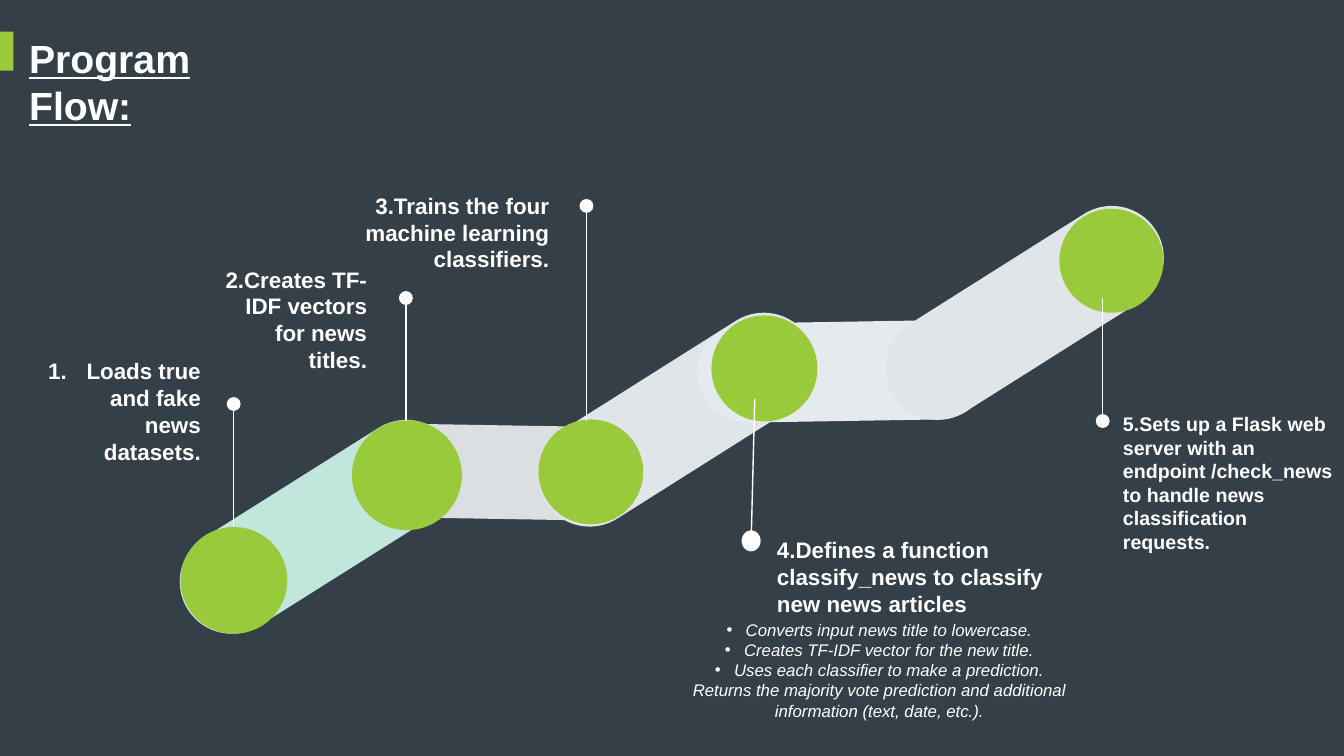
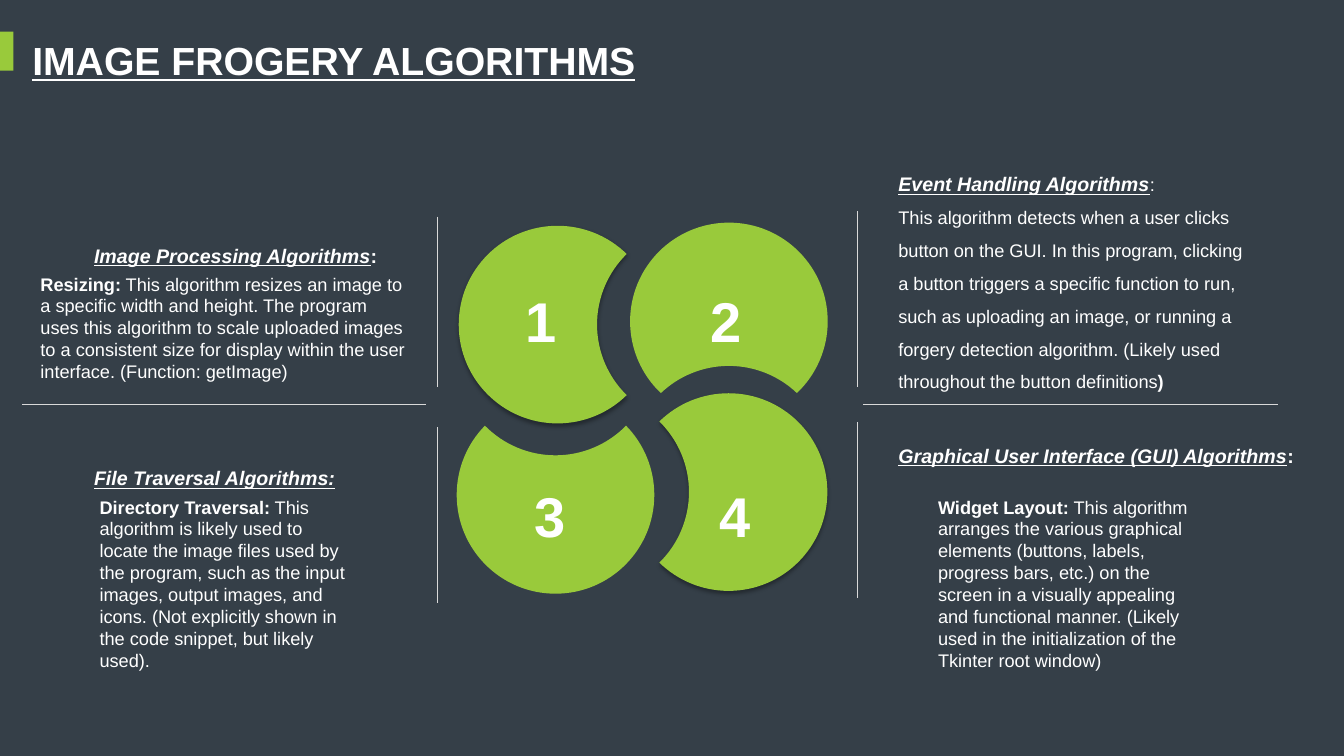
import math

import pptx
import pptx.dml.color
import pptx.enum.shapes
import pptx.enum.text
import pptx.oxml
import pptx.oxml.ns
import pptx.util

Cm = pptx.util.Cm
Pt = pptx.util.Pt
SHAPES = pptx.enum.shapes.MSO_SHAPE
ALIGN = pptx.enum.text.PP_ALIGN

FONT = "Arial"
COLORS = {
    "background": "353F48",
    "accent": "99CA3B",
    "text": "FFFFFF",
    "divider": "D9D9D9",
    "mint": "C1E7DD",
    "gray": "DBDFE2",
    "silver": "E0E5E8",
    "pale": "E5EAEE",
    "light": "E1E5E8",
}
HEADING = {"size": 14, "bold": True, "italic": True, "underline": True}
NUMBERED = ['<a:buAutoNum {} type="arabicPeriod"/>']
BULLETED = ['<a:buFont {} typeface="Arial"/>', '<a:buChar {} char="•"/>']


def color(name):
    """Return the palette colour as an RGB value."""
    return pptx.dml.color.RGBColor.from_string(COLORS[name])


def append_xml(parent, template):
    """Append a DrawingML element written as a template."""
    parent.append(pptx.oxml.parse_xml(template.format(pptx.oxml.ns.nsdecls("a"))))


def paint(shape, fill):
    """Give a shape a plain fill with no line or shadow."""
    shape.shadow.inherit = False
    shape.fill.solid()
    shape.fill.fore_color.rgb = color(fill)
    shape.line.fill.background()
    return shape


def add_preset(slide, kind, box, fill):
    """Add a painted preset shape in a box given in centimetres."""
    return paint(slide.shapes.add_shape(kind, *map(Cm, box)), fill)


def add_line(slide, start, end, line_color, width):
    """Add a straight line between two points in centimetres."""
    line = slide.shapes.add_connector(
        pptx.enum.shapes.MSO_CONNECTOR.STRAIGHT, *map(Cm, (*start, *end)))
    line.line.color.rgb = color(line_color)
    line.line.width = Pt(width)
    append_xml(line._element.spPr, "<a:effectLst {}/>")


def polar(center, radius, angle):
    """Return the point at an angle in degrees on a circle."""
    turn = math.radians(angle)
    return center[0] + radius * math.cos(turn), center[1] + radius * math.sin(turn)


def arc(center, radius, first, last):
    """Return the start of an arc and its curves, split at quarter turns."""
    quarters = [angle for angle in range(-360, 721, 90)
                if min(first, last) < angle < max(first, last)]
    stops = [first, *sorted(quarters, reverse=last < first), last]
    curves = []
    for begin, finish in zip(stops, stops[1:]):
        handle = 4 / 3 * math.tan(math.radians(finish - begin) / 4) * radius
        start, end = polar(center, radius, begin), polar(center, radius, finish)
        curves.append((polar(start, handle, begin + 90), polar(end, -handle, finish + 90), end))
    return polar(center, radius, first), curves


def add_outline(slide, start, segments, fill):
    """Add a freeform whose segments are curves or straight lines."""
    def emu(point):
        return tuple(map(Cm, point))

    builder = slide.shapes.build_freeform(*emu(start))
    builder.add_line_segments([emu(segment[-1]) for segment in segments], close=True)
    shape = paint(builder.convert_to_shape(), fill)
    nodes = list(shape._element.iter(pptx.oxml.ns.qn("a:lnTo")))
    for node, segment in zip(nodes, segments):
        if len(segment) == 3:
            node.tag = pptx.oxml.ns.qn("a:cubicBezTo")
            end = node[0]
            for control in segment[:2]:
                x, y = emu(control)
                append_xml(node, f'<a:pt {{}} x="{x - shape.left}" y="{y - shape.top}"/>')
            node.append(end)
    return shape


def write_text(paragraph, text, size=16, bold=False, italic=False, underline=False):
    """Append a formatted run to a paragraph."""
    run = paragraph.add_run()
    run.text = text
    run.font.name = FONT
    run.font.size = Pt(size)
    run.font.bold = bold
    run.font.italic = italic
    run.font.underline = underline
    run.font.color.rgb = color("text")


def set_bullet(paragraph, templates, hanging):
    """Give a paragraph a bullet or number with a hanging indent."""
    properties = paragraph._p.get_or_add_pPr()
    properties.set("marL", str(Cm(hanging)))
    properties.set("indent", str(-Cm(hanging)))
    for template in templates:
        append_xml(properties, template)


def add_text(slide, box, paragraphs, alignment=ALIGN.LEFT, spacing=None, wrap=True):
    """Add a text box whose paragraphs are lists of text and format pairs."""
    frame = slide.shapes.add_textbox(*map(Cm, box)).text_frame
    frame.word_wrap = wrap
    for index, runs in enumerate(paragraphs):
        paragraph = frame.add_paragraph() if index else frame.paragraphs[0]
        paragraph.alignment = alignment
        if spacing:
            paragraph.line_spacing = spacing
        for text, text_format in runs:
            write_text(paragraph, text, **text_format)
    return frame


def add_titled_slide(presentation, title, box):
    """Add a title-only slide with its accent tab and underlined title."""
    slide = presentation.slides.add_slide(presentation.slide_layouts[5])
    placeholder = slide.shapes.title
    placeholder.left, placeholder.top, placeholder.width, placeholder.height = map(Cm, box)
    frame = placeholder.text_frame
    frame.word_wrap = True
    frame.auto_size = pptx.enum.text.MSO_AUTO_SIZE.NONE
    frame.vertical_anchor = pptx.enum.text.MSO_ANCHOR.TOP
    paragraph = frame.paragraphs[0]
    paragraph.alignment = ALIGN.LEFT
    write_text(paragraph, title, size=28, bold=True, underline=True)
    add_preset(slide, SHAPES.RECTANGLE, (0, 0.8, 0.34, 0.98), "accent")
    return slide


def add_band(slide, start, end, radius, fill, rotation):
    """Add a round-ended band between two points, drawn in a rotated frame."""
    run, rise = end[0] - start[0], end[1] - start[1]
    middle = (start[0] + end[0]) / 2, (start[1] + end[1]) / 2
    half = math.hypot(run, rise) / 2
    slant = math.degrees(math.atan2(rise, run)) - rotation
    far_start, far_cap = arc(polar(middle, half, slant), radius, slant - 90, slant + 90)
    near_start, near_cap = arc(polar(middle, -half, slant), radius, slant + 90, slant + 270)
    band = add_outline(slide, far_start, [*far_cap, (near_start,), *near_cap], fill)
    band.rotation = rotation


def add_pin(slide, head, tip, width, height):
    """Add a dot with a line leading to a node."""
    box = (head[0] - width / 2, head[1] - height / 2, width, height)
    add_preset(slide, SHAPES.FLOWCHART_CONNECTOR, box, "text")
    add_line(slide, head, tip, "text", 1)


def add_flow_path(slide, left, top):
    """Draw the rising path with its nodes and pins from a corner."""
    def place(x, y):
        return left + x, top + y

    bands = [
        ((1.34, 9.66), (5.74, 6.89), 1.31, "mint", 0),
        ((5.84, 6.86), (10.54, 6.94), 1.18, "gray", 33.3),
        ((10.36, 6.96), (14.75, 4.19), 1.31, "silver", 0),
        ((14.32, 4.4), (19.17, 4.32), 1.25, "pale", 32.4),
        ((19.13, 4.27), (23.52, 1.5), 1.31, "light", 0),
    ]
    nodes = [(0.05, 8.28, 2.69), (4.37, 5.59, 2.77), (9.07, 5.57, 2.64),
             (13.43, 2.95, 2.67), (22.2, 0.26, 2.62)]
    pins = [
        ((1.39, 5.18), (1.39, 8.26), 0.35, 0.35),
        ((5.73, 2.51), (5.73, 5.62), 0.35, 0.35),
        ((10.28, 0.19), (10.28, 5.62), 0.35, 0.35),
        ((14.43, 8.63), (14.52, 5.06), 0.48, 0.53),
        ((23.29, 5.61), (23.29, 2.5), 0.35, 0.35),
    ]
    for start, end, radius, fill, rotation in bands:
        add_band(slide, place(*start), place(*end), radius, fill, rotation)
    for x, y, diameter in nodes:
        add_preset(slide, SHAPES.FLOWCHART_CONNECTOR,
                   (*place(x, y), diameter, diameter), "accent")
    for head, tip, width, height in pins:
        add_pin(slide, place(*head), place(*tip), width, height)


def add_flow_labels(slide):
    """Write the five steps and the details of the fourth."""
    steps = [
        ((0.89, 8.88, 4.42, 3.05), "Loads true and fake news datasets.", 16, ALIGN.RIGHT),
        ((5.18, 6.57, 4.32, 2.31), "2.Creates TF-IDF vectors for news titles.", 16, ALIGN.RIGHT),
        ((8.15, 4.71, 5.94, 2.31), "3.Trains the four machine learning classifiers.",
         16, ALIGN.RIGHT),
        ((19.33, 13.39, 8.05, 2.08),
         "4.Defines a function classify_news to classify new news articles", 16, ALIGN.LEFT),
        ((28.05, 10.26, 5.82, 3.25),
         "5.Sets up a Flask web server with an endpoint /check_news to handle news "
         "classification requests.", 14, ALIGN.LEFT),
    ]
    frames = [add_text(slide, box, [[(text, {"size": size, "bold": True})]], alignment)
              for box, text, size, alignment in steps]
    set_bullet(frames[0].paragraphs[0], NUMBERED, 0.97)
    details = [
        "Converts input news title to lowercase.",
        "Creates TF-IDF vector for the new title.",
        "Uses each classifier to make a prediction.",
        "Returns the majority vote prediction and additional information (text, date, etc.).",
    ]
    frame = add_text(slide, (17.11, 15.49, 10.11, 3.38),
                     [[(text, {"size": 12, "italic": True})] for text in details], ALIGN.CENTER)
    for paragraph in frame.paragraphs[:3]:
        set_bullet(paragraph, BULLETED, 0.48)


def add_petal(slide, center, radius, direction, reach, shaded):
    """Draw a disc bitten by an equal disc that lies in a direction."""
    half = math.degrees(math.acos(reach / 2))
    bite = polar(center, reach * radius, direction)
    start, rim = arc(center, radius, direction + half, direction + 360 - half)
    _, notch = arc(bite, radius, direction + 180 + half, direction + 180 - half)
    petal = add_outline(slide, start, rim + notch, "accent")
    if shaded:
        effects = petal._element.spPr.find(pptx.oxml.ns.qn("a:effectLst"))
        append_xml(effects, '<a:outerShdw {} blurRad="39370" dist="22860" dir="5400000">'
                            '<a:srgbClr val="000000"><a:alpha val="35000"/></a:srgbClr>'
                            '</a:outerShdw>')


def add_petals(slide, left, top):
    """Draw the four numbered petals from a corner."""
    petals = [
        ("1", (2.55, 2.58), 0, 1.4, True, (1.49, 1.49)),
        ("2", (6.87, 2.5), 90, 1.45, False, (6.15, 1.49)),
        ("4", (6.86, 6.8), 180, 1.4, True, (6.38, 6.41)),
        ("3", (2.5, 6.87), 270, 1.4, False, (1.71, 6.41)),
    ]
    for number, (x, y), direction, reach, shaded, (text_x, text_y) in petals:
        add_petal(slide, (left + x, top + y), 2.49, direction, reach, shaded)
        add_text(slide, (left + text_x, top + text_y, 1.4, 1.96),
                 [[(number, {"size": 40, "bold": True})]], wrap=False)


def add_dividers(slide):
    """Draw the lines that separate the four descriptions."""
    dividers = [
        ((11.02, 5.46), (11.02, 9.75)), ((11.02, 10.77), (11.02, 15.2)),
        ((21.62, 10.63), (21.62, 15.06)), ((21.62, 5.32), (21.62, 9.75)),
        ((21.76, 10.19), (32.21, 10.19)), ((10.73, 10.19), (0.56, 10.19)),
    ]
    for start, end in dividers:
        add_line(slide, start, end, "divider", 0.75)


def add_descriptions(slide):
    """Write the heading and description of each algorithm group."""
    plain, strong = {"size": 13}, {"size": 13, "bold": True}
    colon = (":", {"size": 14, "bold": True})
    groups = [
        ((2.12, 5.72, 8.36, 1.14), [("Image Processing Algorithms", HEADING), colon],
         (0.77, 6.75, 9.7, 3.15), "Resizing:",
         " This algorithm resizes an image to a specific width and height. The program uses "
         "this algorithm to scale uploaded images to a consistent size for display within the "
         "user interface. (Function: getImage)"),
        ((2.12, 11.33, 6.71, 1.14), [("File Traversal Algorithms:", HEADING)],
         (2.26, 12.37, 6.91, 4.7), "Directory Traversal:",
         " This algorithm is likely used to locate the image files used by the program, such "
         "as the input images, output images, and icons. (Not explicitly shown in the code "
         "snippet, but likely used)."),
        ((22.39, 10.77, 10.69, 1.7),
         [("Graphical User Interface (GUI) Algorithms", HEADING), colon],
         (23.39, 12.37, 6.91, 4.7), "Widget Layout:",
         " This algorithm arranges the various graphical elements (buttons, labels, progress "
         "bars, etc.) on the screen in a visually appealing and functional manner. (Likely "
         "used in the initialization of the Tkinter root window)"),
    ]
    for heading_box, heading, body_box, term, body in groups:
        add_text(slide, heading_box, [heading], spacing=1.5)
        add_text(slide, body_box, [[(term, strong), (body, plain)]])
    add_text(slide, (22.39, 3.92, 9.35, 6.05), [
        [("Event Handling Algorithms", HEADING), (":", plain)],
        [("This algorithm detects when a user clicks button on the GUI. In this program, "
          "clicking a button triggers a specific function to run, such as uploading an image, "
          "or running a forgery detection algorithm. (Likely used throughout the button "
          "definitions", plain), (")", strong)],
    ], spacing=1.5)


def main():
    """Build and save the presentation."""
    presentation = pptx.Presentation()
    presentation.slide_width, presentation.slide_height = Cm(33.87), Cm(19.05)
    background = presentation.slide_master.background.fill
    background.solid()
    background.fore_color.rgb = color("background")

    flow = add_titled_slide(presentation, "Program Flow:", (0.48, 0.74, 7.19, 1.45))
    add_flow_path(flow, 4.5, 5)
    add_flow_labels(flow)

    algorithms = add_titled_slide(
        presentation, "IMAGE FROGERY ALGORITHMS", (0.56, 0.79, 21.06, 2.08))
    add_petals(algorithms, 11.5, 5.6)
    add_dividers(algorithms)
    add_descriptions(algorithms)
    presentation.save("out.pptx")


if __name__ == "__main__":
    main()
